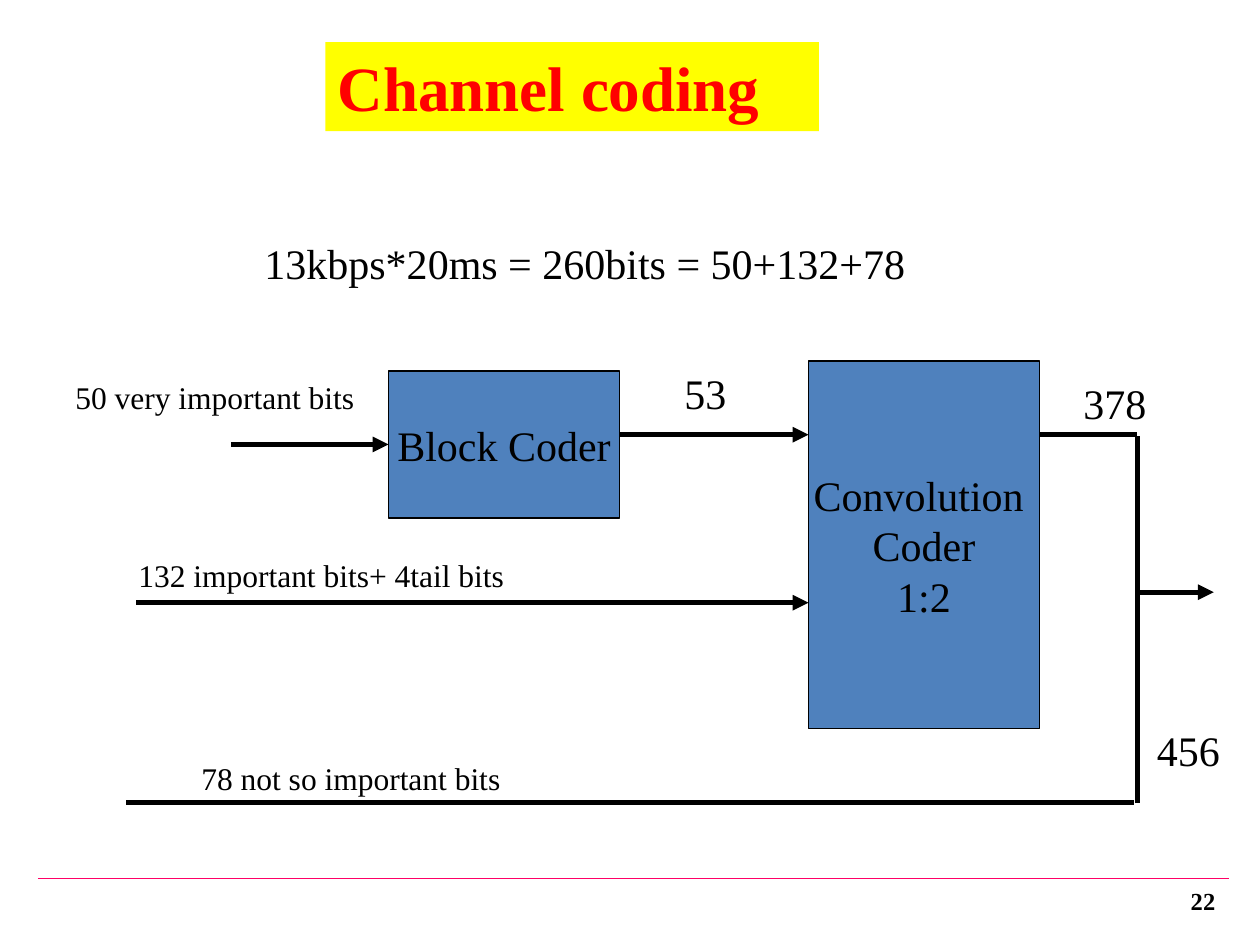
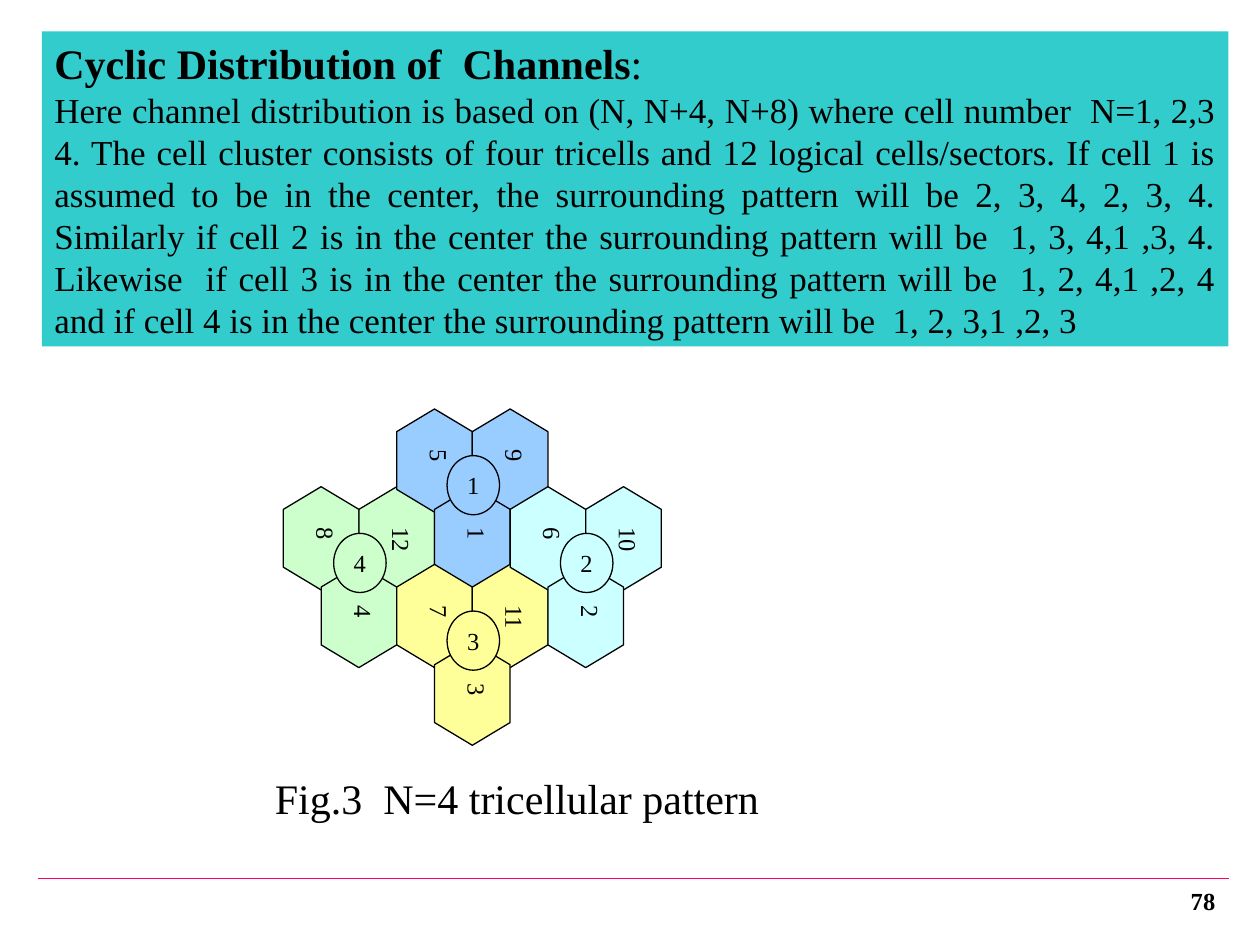
from lxml.etree import SubElement
from pptx import Presentation
from pptx.dml.color import RGBColor
from pptx.enum.shapes import MSO_CONNECTOR as CONN, MSO_SHAPE as SHAPE
from pptx.enum.text import MSO_ANCHOR as ANCHOR, PP_ALIGN as ALIGN
from pptx.oxml.ns import qn
from pptx.util import Pt

FONT = "Times New Roman"
COLORS = {
    "black": "000000", "rule": "FF0066",
    "title": "FF0000", "title_band": "FFFF00",
    "coder": "4F81BD", "panel": "33CCCC",
    "green": "CCFFCC", "blue": "99CCFF", "yellow": "FFFF99", "cyan": "CCFFFF",
}


def add_text(s, text, x, y, w, h, *, shape=None, fill=None, outline=False,
             size=24, bold=False, color="black", align=ALIGN.LEFT,
             anchor=ANCHOR.TOP, before=0, wrap=True, rotation=0):
    """Add a text box, or a filled preset shape; each line is a paragraph."""
    box = (Pt(x), Pt(y), Pt(w), Pt(h))
    if shape is None:
        sp = s.shapes.add_textbox(*box)
    else:
        sp = s.shapes.add_shape(shape, *box)
        sp.shadow.inherit = False
        sp.fill.solid()
        sp.fill.fore_color.rgb = RGBColor.from_string(COLORS[fill])
        if outline:
            sp.line.color.rgb = RGBColor.from_string(COLORS["black"])
            sp.line.width = Pt(0.75)
        else:
            sp.line.fill.background()
    sp.rotation = rotation
    tf = sp.text_frame
    tf.word_wrap = wrap
    tf.vertical_anchor = anchor
    tf.text = text
    for p in tf.paragraphs:
        p.alignment = align
        p.space_before = Pt(before)
        for r in p.runs:
            r.font.name = FONT
            r.font.size = Pt(size)
            r.font.bold = bold
            r.font.color.rgb = RGBColor.from_string(COLORS[color])
    return sp


def add_line(s, x1, y1, x2, y2, *, color="black", width=3, arrow=False):
    line = s.shapes.add_connector(CONN.STRAIGHT, Pt(x1), Pt(y1), Pt(x2), Pt(y2))
    line.line.color.rgb = RGBColor.from_string(COLORS[color])
    line.line.width = Pt(width)
    if arrow:
        SubElement(line.line._get_or_add_ln(), qn("a:tailEnd"), type="triangle")
    SubElement(line._element.spPr, qn("a:effectLst"))
    return line


prs = Presentation()
prs.slide_width, prs.slide_height = Pt(720), Pt(540)

# Shared footer: rule and page number
slides = []
for number in ("22", "78"):
    s = prs.slides.add_slide(prs.slide_layouts[6])
    add_line(s, 21.6, 502, 702, 502, color="rule", width=0.75)
    add_text(s, number, 636, 500.4, 65.5, 28.8, size=14, bold=True,
             align=ALIGN.RIGHT, anchor=ANCHOR.MIDDLE)
    slides.append(s)
coding, cyclic = slides

# Channel coding
add_text(coding, "Channel coding", 186, 24, 282, 51, shape=SHAPE.RECTANGLE,
         fill="title_band", size=36, bold=True, color="title", before=5)

coders = {}
for name, x, y, h in (("Block Coder", 222, 212, 84),
                      ("Convolution \nCoder\n1:2", 462, 206.4, 210)):
    coders[name] = add_text(coding, name, x, y, 132, h, shape=SHAPE.RECTANGLE,
                            fill="coder", outline=True, align=ALIGN.CENTER,
                            anchor=ANCHOR.MIDDLE, wrap=False)

for label, x, y, w, size in (
    ("13kbps*20ms = 260bits = 50+132+78", 144, 132, 426, 24),
    ("53", 384, 206.4, 60, 24),
    ("378", 612, 212.4, 72, 24),
    ("456", 654, 410.4, 66, 24),
    ("50 very important bits", 36, 212.4, 174, 18),
    ("132 important bits+ 4tail bits", 72, 314.4, 324, 18),
    ("78 not so important bits", 108, 430, 246, 18),
):
    add_text(coding, label, x, y, w, 1.5 * size, size=size, before=0.14 * size)

block_input = add_line(coding, 132, 254, 222, 254, arrow=True)
block_input.end_connect(coders["Block Coder"], 1)
for x1, y1, x2, y2, arrow in (
    (354, 248.4, 462, 248.4, True),
    (78, 344.4, 462, 344.4, True),
    (72, 458.4, 648, 458.4, False),
    (594, 248.4, 650, 248.4, False),
    (650, 459, 650, 249, False),
    (651.6, 338.4, 693.6, 338.4, True),
):
    add_line(coding, x1, y1, x2, y2, arrow=arrow)

# Cyclic distribution of channels
panel = add_text(
    cyclic,
    "Cyclic Distribution of  Channels\n"
    "Here channel distribution is based on (N, N+4, N+8) where cell number  "
    "N=1, 2,3 4. The cell cluster consists of four tricells and 12 logical "
    "cells/sectors. If cell 1 is assumed to be in the center, the surrounding "
    "pattern will be 2, 3, 4, 2, 3, 4. Similarly if cell 2 is in the center the "
    "surrounding pattern will be  1, 3, 4,1 ,3, 4. Likewise  if cell 3 is in the "
    "center the surrounding pattern will be  1, 2, 4,1 ,2, 4 and if cell 4 is in "
    "the center the surrounding pattern will be  1, 2, 3,1 ,2, 3",
    24, 18, 678, 180, shape=SHAPE.RECTANGLE, fill="panel", size=20,
    align=ALIGN.JUSTIFY)
p = panel.text_frame.paragraphs[0]
p.alignment = ALIGN.LEFT
p.runs[0].font.bold = True
p.add_run().text = ":"
for r in p.runs:
    r.font.name = FONT
    r.font.size = Pt(24)
    r.font.color.rgb = RGBColor.from_string(COLORS["black"])

# Each tricell n holds the sectors n+4, n+8 and n around a numbered circle
HEX_W, HEX_H, ROW = 59, 43.2, 44.4
for n, col, row, fill in ((4, 0, 1, "green"), (1, 1, 0, "blue"),
                          (3, 1, 2, "yellow"), (2, 2, 1, "cyan")):
    x = 154 + col * 1.5 * HEX_H
    y = 241.6 + row * ROW
    for sector, dx, dy in ((n + 4, 0, 0), (n + 8, HEX_H, 0), (n, HEX_H / 2, ROW)):
        cell = add_text(cyclic, str(sector), x + dx, y + dy, HEX_W, HEX_H,
                        shape=SHAPE.HEXAGON, fill=fill, outline=True, size=14,
                        rotation=90)
        cell.adjustments[0] = 0.3
        cell.text_frame.margin_left = Pt(14.2)
        cell.text_frame.margin_right = 0
    add_text(cyclic, str(n), x + 36.7, y + 18.8, 30, 33.8, shape=SHAPE.OVAL,
             fill=fill, outline=True, size=14)

add_text(cyclic, "Fig.3  N=4 tricellular pattern", 150, 438, 300, 36, before=3.36)

prs.save("out.pptx")
